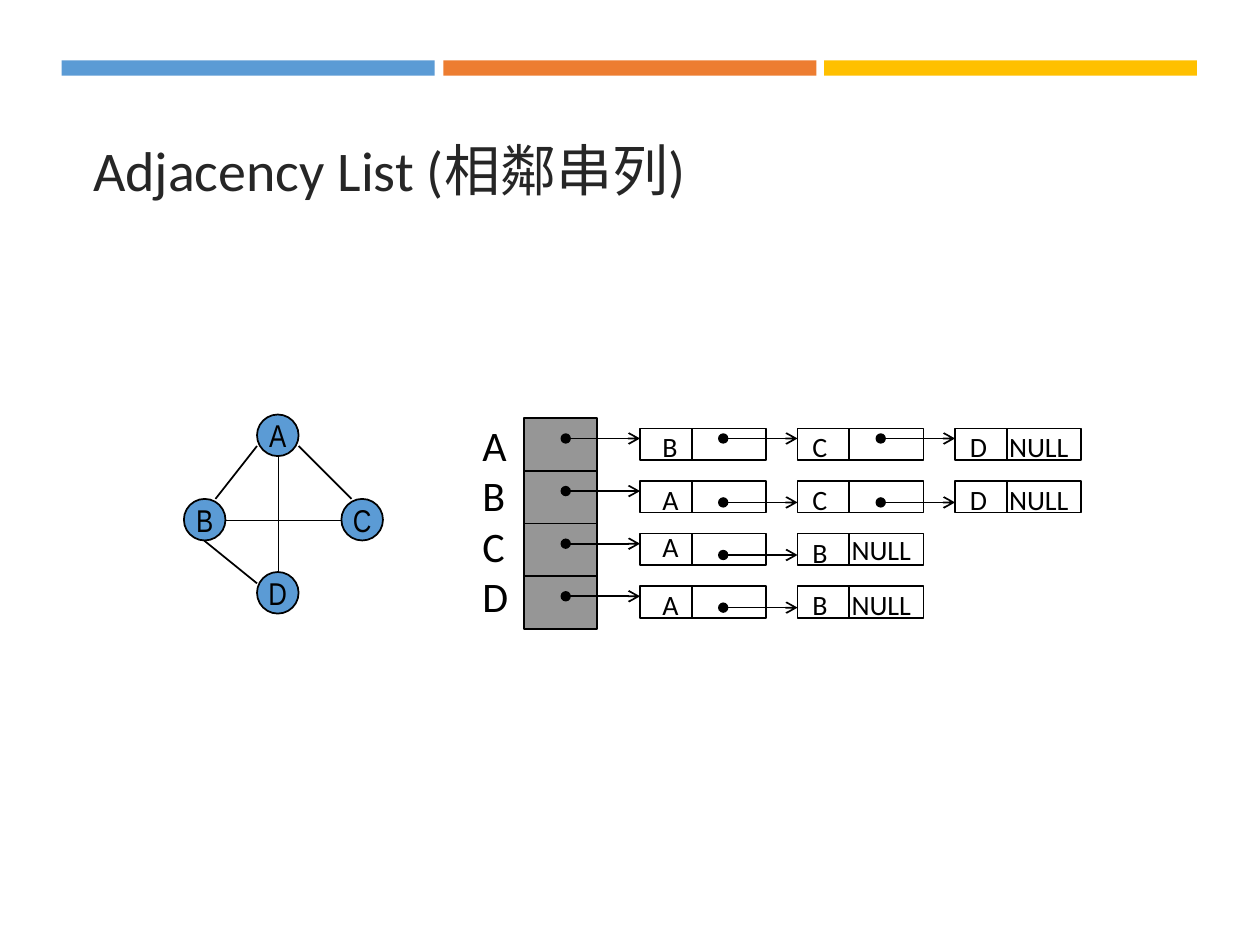
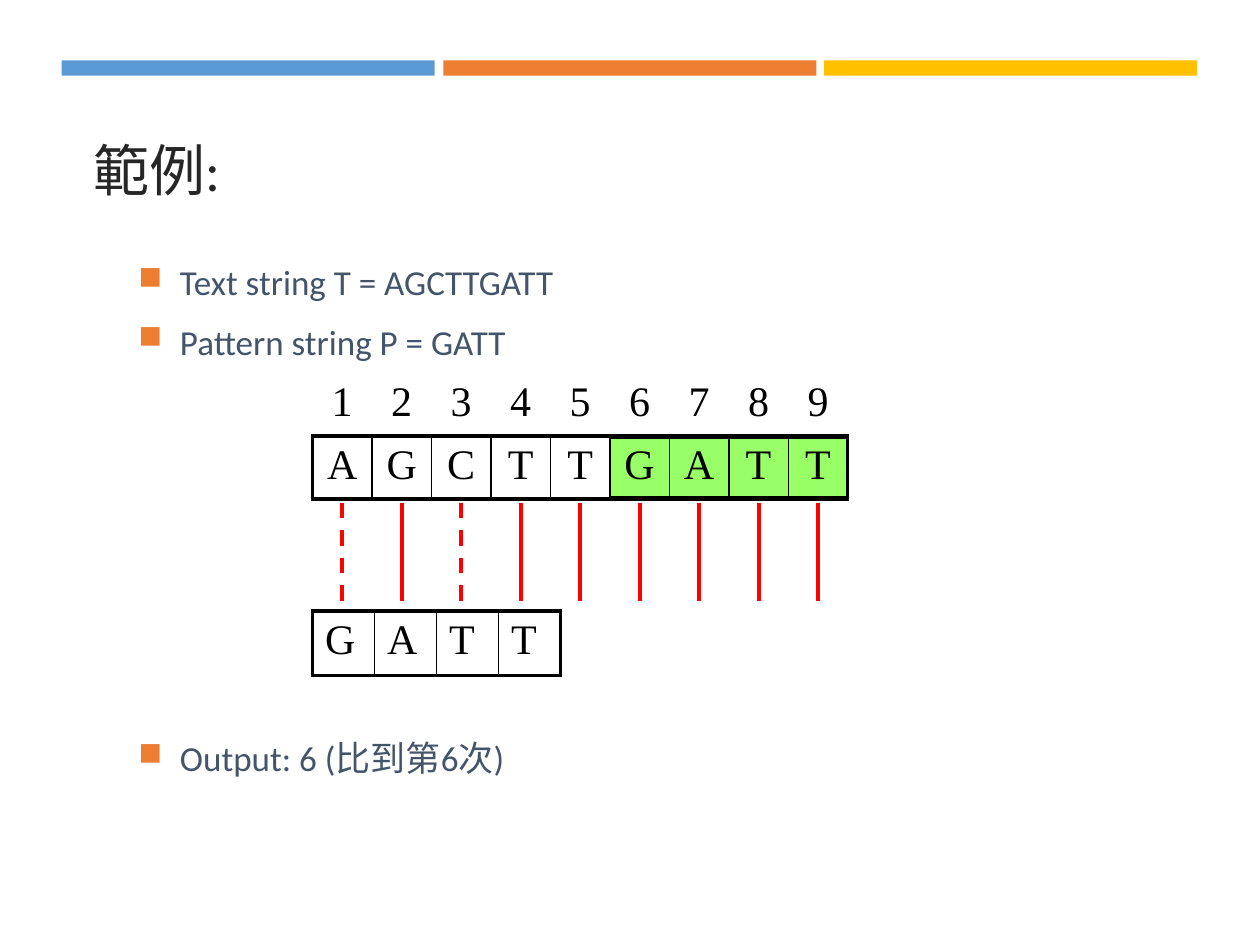
from lxml import etree
from pptx import Presentation
from pptx.dml.color import RGBColor
from pptx.enum import dml, shapes, text
from pptx.oxml import ns
from pptx.util import Inches, Pt

COLORS = {
    "blue": "5B9BD5", "orange": "ED7D31", "yellow": "FFC000",
    "title": "262626", "body": "44546A", "black": "000000",
    "gray": "969696", "green": "99FF66", "red": "FF0000",
}
BODY_FONT, NODE_FONT, TABLE_FONT = "Calibri", "Arial Narrow", "Times New Roman"
BANDS = [("blue", 0.49), ("orange", 3.52), ("yellow", 6.54)]

# Adjacency list slide
LIST_TITLE = "Adjacency List (相鄰串列)"
VERTICES = {"A": (2.04, 3.29), "B": (1.46, 3.96), "C": (2.71, 3.96), "D": (2.04, 4.54)}
EDGES = [
    ((1.79, 4.13), (2.71, 4.13)),
    ((2.21, 3.63), (2.21, 4.54)),
    ((2.04, 3.54), (1.71, 3.96)),
    ((2.37, 3.54), (2.79, 3.96)),
    ((1.62, 4.29), (2.04, 4.63)),
]
NEIGHBOURS = {"A": "BCD", "B": "ACD", "C": "AB", "D": "AB"}
# Label heights above the cell top that differ from the usual 0.04
LABEL_LIFTS = {("C", "A"): 0.08, ("C", "B"): 0.03, ("C", "NULL"): 0.06}
HEADS_LEFT, HEADS_TOP, HEADS_WIDTH, HEADS_HEIGHT = 4.16, 3.32, 0.58, 1.67
CELL_LEFT, CELL_PITCH, CELL_WIDTH, CELL_HEIGHT = 5.08, 1.25, 1, 0.25

# String matching slide
EXAMPLE_TITLE = "範例:"
BULLETS = [  # text, space before in points
    ("Text string T = AGCTTGATT", 0),
    ("Pattern string P = GATT", 4),
    ("Output: 6 (比到第6次)", 208),
]
TEXT_STRING, PATTERN = "AGCTTGATT", "GATT"
MISMATCHES = (1, 3)
TABLE_LEFT, TEXT_WIDTH = 2.48, 4.25
THICK, THIN = 2.25, 1


def rgb(name):
    return RGBColor.from_string(COLORS[name])


def set_font(paragraph, size, color, name):
    font = paragraph.font
    font.size, font.name = Pt(size), name
    font.color.rgb = rgb(color)


def add_figure(slide, kind, box, fill=None, line=None, width=1):
    shape = slide.shapes.add_shape(kind, *map(Inches, box))
    shape.shadow.inherit = False
    if fill:
        shape.fill.solid()
        shape.fill.fore_color.rgb = rgb(fill)
    else:
        shape.fill.background()
    if line:
        shape.line.color.rgb = rgb(line)
        shape.line.width = Pt(width)
    else:
        shape.line.fill.background()
    return shape


def add_rectangle(slide, box, **style):
    return add_figure(slide, shapes.MSO_SHAPE.RECTANGLE, box, **style)


def add_text(slide, box, lines, size, color="black", wrap=False):
    frame = slide.shapes.add_textbox(*map(Inches, box)).text_frame
    frame.word_wrap = wrap
    frame.text = "\n".join(lines)
    for paragraph in frame.paragraphs:
        set_font(paragraph, size, color, BODY_FONT)
    return frame


def add_line(slide, start, end, color="black", width=1, dashed=False, pointer=False):
    """Draw a straight line; a pointer has a dot at its start and an arrow at its end."""
    connector = slide.shapes.add_connector(
        shapes.MSO_CONNECTOR.STRAIGHT, *map(Inches, (*start, *end)))
    connector.line.color.rgb = rgb(color)
    connector.line.width = Pt(width)
    if dashed:
        connector.line.dash_style = dml.MSO_LINE.DASH
    properties = connector._element.spPr
    if pointer:
        outline = properties.find(ns.qn("a:ln"))
        for tag, kind in (("a:headEnd", "oval"), ("a:tailEnd", "arrow")):
            etree.SubElement(outline, ns.qn(tag), type=kind)
    etree.SubElement(properties, ns.qn("a:effectLst"))


def add_slide(presentation, title):
    slide = presentation.slides.add_slide(presentation.slide_layouts[6])
    for color, left in BANDS:
        add_rectangle(slide, (left, 0.48, 2.96, 0.12), fill=color)
    frame = add_text(slide, (0.64, 0.75, 8.74, 1.18), [title], 32, "title", wrap=True)
    frame.vertical_anchor = text.MSO_ANCHOR.MIDDLE
    return slide


def draw_graph(slide):
    for name, (left, top) in VERTICES.items():
        vertex = add_figure(slide, shapes.MSO_SHAPE.OVAL, (left, top, 0.33, 0.33),
                            fill="blue", line="black")
        frame = vertex.text_frame
        frame.word_wrap = False
        frame.vertical_anchor = text.MSO_ANCHOR.MIDDLE
        frame.text = name
        frame.paragraphs[0].alignment = text.PP_ALIGN.CENTER
        set_font(frame.paragraphs[0], 18, "black", NODE_FONT)
    for start, end in EDGES:
        add_line(slide, start, end)


def draw_adjacency_list(slide):
    add_rectangle(slide, (HEADS_LEFT, HEADS_TOP, HEADS_WIDTH, HEADS_HEIGHT),
                  fill="gray", line="black")
    add_text(slide, (3.73, 3.28, 0.44, 1.7), NEIGHBOURS, 24)
    row_pitch = HEADS_HEIGHT / len(NEIGHBOURS)
    for row, (vertex, neighbours) in enumerate(NEIGHBOURS.items()):
        row_top = HEADS_TOP + row * row_pitch
        if row:
            add_line(slide, (HEADS_LEFT, row_top), (HEADS_LEFT + HEADS_WIDTH, row_top))
        add_line(slide, (4.49, row_top + 0.16), (CELL_LEFT, row_top + 0.16), pointer=True)
        draw_chain(slide, vertex, neighbours, row_top + 0.08)


def draw_chain(slide, vertex, neighbours, top):
    link_y = top + (0.08 if vertex == "A" else 0.17)

    def add_label(label, left, width):
        lift = LABEL_LIFTS.get((vertex, label), 0.04)
        add_text(slide, (left, top - lift, width, 0.37), [label], 16)

    for column, neighbour in enumerate(neighbours):
        left = CELL_LEFT + column * CELL_PITCH
        divider = left + 0.41
        add_rectangle(slide, (left, top, CELL_WIDTH, CELL_HEIGHT), line="black")
        add_line(slide, (divider, top), (divider, top + CELL_HEIGHT))
        add_label(neighbour, left + (0.02 if column else 0.08), 0.36)
        if column < len(neighbours) - 1:
            add_line(slide, (left + 0.66, link_y), (left + CELL_PITCH, link_y), pointer=True)
        else:
            add_label("NULL", left + 0.33, 0.79)


def set_borders(cell, **widths):
    """Give the sides lnL, lnR, lnT and lnB black lines of these widths; 0 means none."""
    properties = cell._tc.get_or_add_tcPr()
    for index, side in enumerate(("lnL", "lnR", "lnT", "lnB")):
        width = widths.get(side, 0)
        border = etree.Element(ns.qn("a:" + side), w=str(Pt(width)))
        if width:
            fill = etree.SubElement(border, ns.qn("a:solidFill"))
            etree.SubElement(fill, ns.qn("a:srgbClr"), val=COLORS["black"])
        else:
            etree.SubElement(border, ns.qn("a:noFill"))
        properties.insert(index, border)


def add_letter_table(slide, top, width, rows, heights, alignment):
    """Add a table of single characters whose last row is boxed."""
    columns = len(rows[0])
    table = slide.shapes.add_table(len(rows), columns, *map(
        Inches, (TABLE_LEFT, top, width, sum(heights)))).table
    table.first_row = table.horz_banding = False
    for column in table.columns:
        column.width = Inches(width / columns)
    for row, letters in enumerate(rows):
        table.rows[row].height = Inches(heights[row])
        for column, letter in enumerate(letters):
            cell = table.cell(row, column)
            cell.fill.background()
            cell.text = letter
            paragraph = cell.text_frame.paragraphs[0]
            paragraph.alignment = alignment
            set_font(paragraph, 24, "black", TABLE_FONT)
            if row == len(rows) - 1:
                set_borders(cell, lnL=THIN if column else THICK,
                            lnR=THIN if column < columns - 1 else THICK,
                            lnT=THICK, lnB=THICK)
            else:
                set_borders(cell, lnB=THICK)


def add_bullets(slide):
    frame = add_text(slide, (0.64, 2.02, 8.74, 4.37), [line for line, _ in BULLETS],
                     20, "body", wrap=True)
    for paragraph, (_, space_before) in zip(frame.paragraphs, BULLETS):
        properties = paragraph._p.get_or_add_pPr()
        properties.set("marL", str(Inches(0.69)))
        properties.set("indent", str(Inches(-0.33)))
        bullet_color = etree.Element(ns.qn("a:buClr"))
        etree.SubElement(bullet_color, ns.qn("a:srgbClr"), val=COLORS["orange"])
        bullet_size = etree.Element(ns.qn("a:buSzPct"), val="92000")
        bullet = etree.Element(ns.qn("a:buChar"), char="■")
        for index, element in enumerate((bullet_color, bullet_size, bullet)):
            properties.insert(index, element)
        paragraph.space_before, paragraph.space_after = Pt(space_before), Pt(6)


def draw_matching(slide):
    add_rectangle(slide, (4.84, 3.48, 1.89, 0.46), fill="green", line="black", width=0.75)
    positions = range(1, len(TEXT_STRING) + 1)
    add_letter_table(slide, 2.96, TEXT_WIDTH, [[str(n) for n in positions], TEXT_STRING],
                     [0.47, 0.5], text.PP_ALIGN.CENTER)
    add_letter_table(slide, 4.85, 1.97, [PATTERN], [0.51], text.PP_ALIGN.LEFT)
    for position in positions:
        x = TABLE_LEFT + (position - 0.5) * TEXT_WIDTH / len(TEXT_STRING)
        add_line(slide, (x, 3.99), (x, 4.77), "red", THICK, dashed=position in MISMATCHES)


def main():
    presentation = Presentation()
    presentation.slide_width, presentation.slide_height = Inches(10), Inches(7.5)
    list_slide = add_slide(presentation, LIST_TITLE)
    draw_graph(list_slide)
    draw_adjacency_list(list_slide)
    example_slide = add_slide(presentation, EXAMPLE_TITLE)
    add_bullets(example_slide)
    draw_matching(example_slide)
    presentation.save("out.pptx")


if __name__ == "__main__":
    main()
